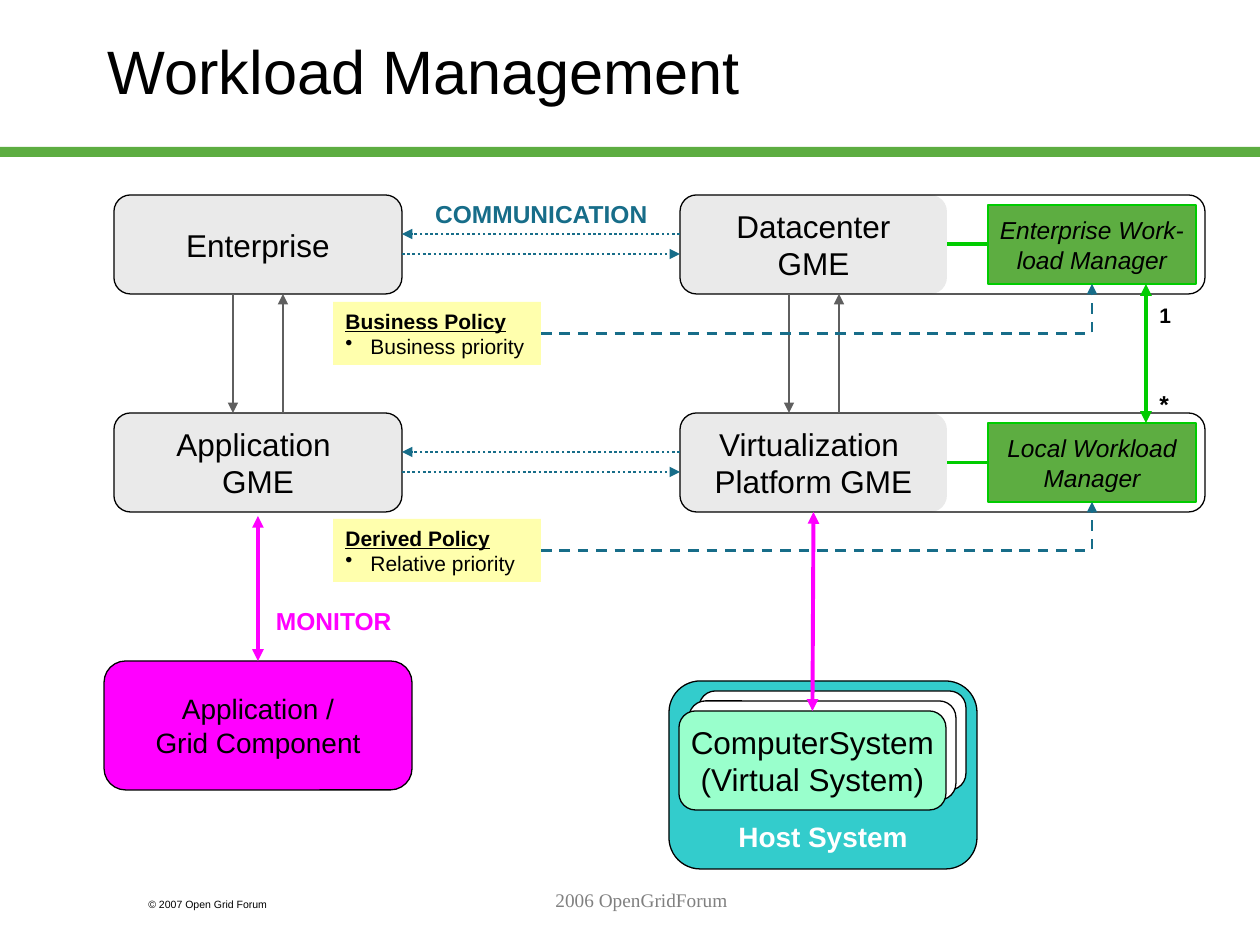
from lxml import etree
from pptx import Presentation
from pptx import util as u
from pptx.dml.color import RGBColor
from pptx.enum import dml, shapes, text
from pptx.oxml.ns import qn

PX = u.Inches(1) / 126

BLACK = RGBColor(0x00, 0x00, 0x00)
WHITE = RGBColor(0xFF, 0xFF, 0xFF)
GREY = RGBColor(0x80, 0x80, 0x80)
DARK_GREY = RGBColor(0x5F, 0x5F, 0x5F)
PALE_GREY = RGBColor(0xEA, 0xEA, 0xEA)
GREEN = RGBColor(0x5D, 0xAD, 0x41)
BRIGHT_GREEN = RGBColor(0x00, 0xCC, 0x00)
MINT = RGBColor(0x99, 0xFF, 0xCC)
TURQUOISE = RGBColor(0x33, 0xCC, 0xCC)
BLUE = RGBColor(0x17, 0x6D, 0x89)
YELLOW = RGBColor(0xFF, 0xFF, 0x99)
MAGENTA = RGBColor(0xFF, 0x00, 0xFF)

RECTANGLE = shapes.MSO_SHAPE.RECTANGLE
ROUNDED = shapes.MSO_SHAPE.ROUNDED_RECTANGLE
STRAIGHT = shapes.MSO_CONNECTOR.STRAIGHT
ELBOW = shapes.MSO_CONNECTOR.ELBOW
LEFT, CENTER, RIGHT = text.PP_ALIGN.LEFT, text.PP_ALIGN.CENTER, text.PP_ALIGN.RIGHT
TOP, MIDDLE, BOTTOM = (text.MSO_ANCHOR.TOP, text.MSO_ANCHOR.MIDDLE,
                       text.MSO_ANCHOR.BOTTOM)
SITE_TOP, SITE_LEFT, SITE_BOTTOM, SITE_RIGHT = range(4)


def emu(*lengths):
    return [u.Emu(round(length * PX)) for length in lengths]


def write(shape, lines, size=18, color=BLACK, font="Arial", bold=False, italic=False,
          align=CENTER, anchor=MIDDLE, wrap=False):
    frame = shape.text_frame
    frame.word_wrap = wrap
    frame.vertical_anchor = anchor
    for index, line in enumerate(lines):
        paragraph = frame.add_paragraph() if index else frame.paragraphs[0]
        paragraph.text = line
        paragraph.alignment = align
        for run in paragraph.runs:
            run.font.name = font
            run.font.size = u.Pt(size)
            run.font.color.rgb = color
            run.font.bold = bold
            run.font.italic = italic
    return frame


def add_box(slide, kind, box, fill=None, line=None, lines=(), **text_format):
    shape = slide.shapes.add_shape(kind, *emu(*box))
    shape.shadow.inherit = False
    if fill is None:
        shape.fill.background()
    else:
        shape.fill.solid()
        shape.fill.fore_color.rgb = fill
    if line is None:
        shape.line.fill.background()
    else:
        shape.line.color.rgb = line
        shape.line.width = u.Pt(0.75)
    if lines:
        write(shape, lines, **text_format)
    return shape


def add_label(slide, box, label, **text_format):
    write(slide.shapes.add_textbox(*emu(*box)), [label], anchor=TOP, **text_format)


def add_line(slide, start, end, color, width=1.5, dash=None, ends=("tailEnd",),
             kind=STRAIGHT, begin_at=None, end_at=None):
    """begin_at and end_at are (shape, connection site) pairs."""
    connector = slide.shapes.add_connector(kind, *emu(*start, *end))
    if begin_at:
        connector.begin_connect(*begin_at)
    if end_at:
        connector.end_connect(*end_at)
    connector.line.color.rgb = color
    connector.line.width = u.Pt(width)
    if dash:
        connector.line.dash_style = dash
    properties = connector._element.spPr
    for name in ends:
        etree.SubElement(properties.find(qn("a:ln")), qn("a:" + name), type="triangle")
    etree.SubElement(properties, qn("a:effectLst"))
    if kind == ELBOW:
        properties.find(qn("a:prstGeom")).set("prst", "bentConnector2")
    return connector


def add_vertical_exchange(slide, x, y, length):
    """A downward arrow with an upward one to its right."""
    add_line(slide, (x, y), (x, y + length), DARK_GREY)
    add_line(slide, (x + 50, y + length), (x + 50, y), DARK_GREY)


def add_horizontal_exchange(slide, x, y, length):
    """A dotted arrow to the left with one to the right below it."""
    dots = dml.MSO_LINE.ROUND_DOT
    add_line(slide, (x + length, y), (x, y), BLUE, dash=dots)
    add_line(slide, (x, y + 20), (x + length, y + 20), BLUE, dash=dots)


def add_managed_row(slide, box, entity_lines, manager_lines):
    """An outlined row with an entity linked to its workload manager."""
    x, y, width, height = box
    entity = add_box(slide, ROUNDED, (x, y, 267, height), PALE_GREY, lines=entity_lines)
    manager = add_box(slide, RECTANGLE, (x + 308, y + 10, 208, height - 20), GREEN,
                      BRIGHT_GREEN, manager_lines, size=14, italic=True)
    middle = y + height // 2
    add_line(slide, (x + 308, middle), (x + 267, middle), BRIGHT_GREEN, 2.25, ends=(),
             begin_at=(manager, SITE_LEFT), end_at=(entity, SITE_RIGHT))
    add_box(slide, ROUNDED, box, line=BLACK)
    return entity, manager


def add_policy(slide, box, heading, item, manager):
    """A yellow note whose dashed arrow leads to the manager it governs."""
    note = add_box(slide, RECTANGLE, box, YELLOW)
    color = note._element.spPr.find(qn("a:solidFill"))[0]
    etree.SubElement(color, qn("a:alpha"), val="80000")
    frame = write(note, [heading, item], size=12, align=LEFT, anchor=TOP, wrap=True)
    title, bullet = frame.paragraphs
    title.runs[0].font.bold = True
    title.runs[0].font.underline = True
    indent = emu(25)[0]
    properties = bullet._element.get_or_add_pPr()
    properties.set("marL", str(indent))
    properties.set("indent", str(-indent))
    etree.SubElement(properties, qn("a:buChar"), char="•")
    x, y, width, height = box
    add_line(slide, (x + width, y + height // 2), (1092, y - 18), BLUE,
             dash=dml.MSO_LINE.DASH, kind=ELBOW,
             begin_at=(note, SITE_RIGHT), end_at=(manager, SITE_BOTTOM))


def add_host(slide, box):
    """The host system with its stack of virtual systems; returns the front one."""
    x, y, width, height = box
    add_box(slide, ROUNDED, box, TURQUOISE, BLACK, ["Host System"], size=16,
            color=WHITE, bold=True, anchor=BOTTOM)
    for step, fill in ((3, WHITE), (2, WHITE), (1, MINT)):
        system = add_box(slide, ROUNDED, (x + 10 * step, y + 40 - 10 * step, 267, 99),
                         fill, BLACK)
    write(system, ["ComputerSystem", "(Virtual System)"])
    system.top = emu(y + 30)[0]
    return system


def add_title(slide, box, title):
    shape = slide.shapes.title
    shape.left, shape.top, shape.width, shape.height = emu(*box)
    frame = write(shape, [title], size=35, align=LEFT, anchor=TOP, wrap=True)
    frame.margin_top = emu(12)[0]
    add_box(slide, RECTANGLE, (0, 147, 1260, 10), GREEN)


def add_footer(slide):
    add_label(slide, (136, 892, 189, 25), "© 2007 Open Grid Forum", size=6,
              align=LEFT, wrap=True)
    add_label(slide, (274, 882, 735, 63), "2006 OpenGridForum", size=11, color=GREY,
              font="Times New Roman", wrap=True)


def add_diagram(slide):
    both = ("headEnd", "tailEnd")
    rows = (195, 413)
    contents = (
        (["Enterprise"], ["Datacenter", "GME"], ["Enterprise Work-", "load Manager"]),
        (["Application \vGME"], ["Virtualization ", "Platform GME"],
         ["Local Workload", "Manager"]),
    )
    policies = (("Business Policy", "Business priority"),
                ("Derived Policy", "Relative priority"))
    managed = []
    for y, (left_lines, entity_lines, manager_lines) in zip(rows, contents):
        add_box(slide, ROUNDED, (114, y, 288, 99), PALE_GREY, BLACK, left_lines)
        managed.append(add_managed_row(slide, (680, y, 525, 99), entity_lines,
                                       manager_lines))
        add_horizontal_exchange(slide, 402, y + 39, 278)
    for x in (233, 789):
        add_vertical_exchange(slide, x, 294, 119)
    for y, policy, (_, manager) in zip((302, 519), policies, managed):
        add_policy(slide, (333, y, 208, 63), *policy, manager)

    add_line(slide, (1146, 284), (1146, 423), BRIGHT_GREEN, 2.25, ends=both)
    add_label(slide, (1147, 296, 37, 38), "1", size=12, bold=True, align=LEFT)
    add_label(slide, (1147, 383, 34, 43), "*", size=14, bold=True, align=LEFT)

    system = add_host(slide, (669, 681, 308, 188))
    add_line(slide, (813, 512), (813, 711), MAGENTA, 2.25, ends=both,
             begin_at=(managed[1][0], SITE_BOTTOM), end_at=(system, SITE_TOP))
    component = add_box(slide, ROUNDED, (104, 661, 308, 129), MAGENTA, BLACK,
                        ["Application /", "Grid Component"], size=16)
    add_line(slide, (258, 516), (258, 661), MAGENTA, 2.25, ends=both,
             end_at=(component, SITE_TOP))
    add_label(slide, (421, 193, 239, 43), "COMMUNICATION", size=14, color=BLUE,
              bold=True, align=RIGHT)
    add_label(slide, (263, 600, 141, 43), "MONITOR", size=14, color=MAGENTA,
              bold=True, align=RIGHT)


def main():
    presentation = Presentation()
    presentation.slide_width, presentation.slide_height = emu(1260, 945)
    slide = presentation.slides.add_slide(presentation.slide_layouts[5])
    add_title(slide, (95, 21, 1071, 158), "Workload Management")
    add_diagram(slide)
    add_footer(slide)
    presentation.save("out.pptx")


if __name__ == "__main__":
    main()
